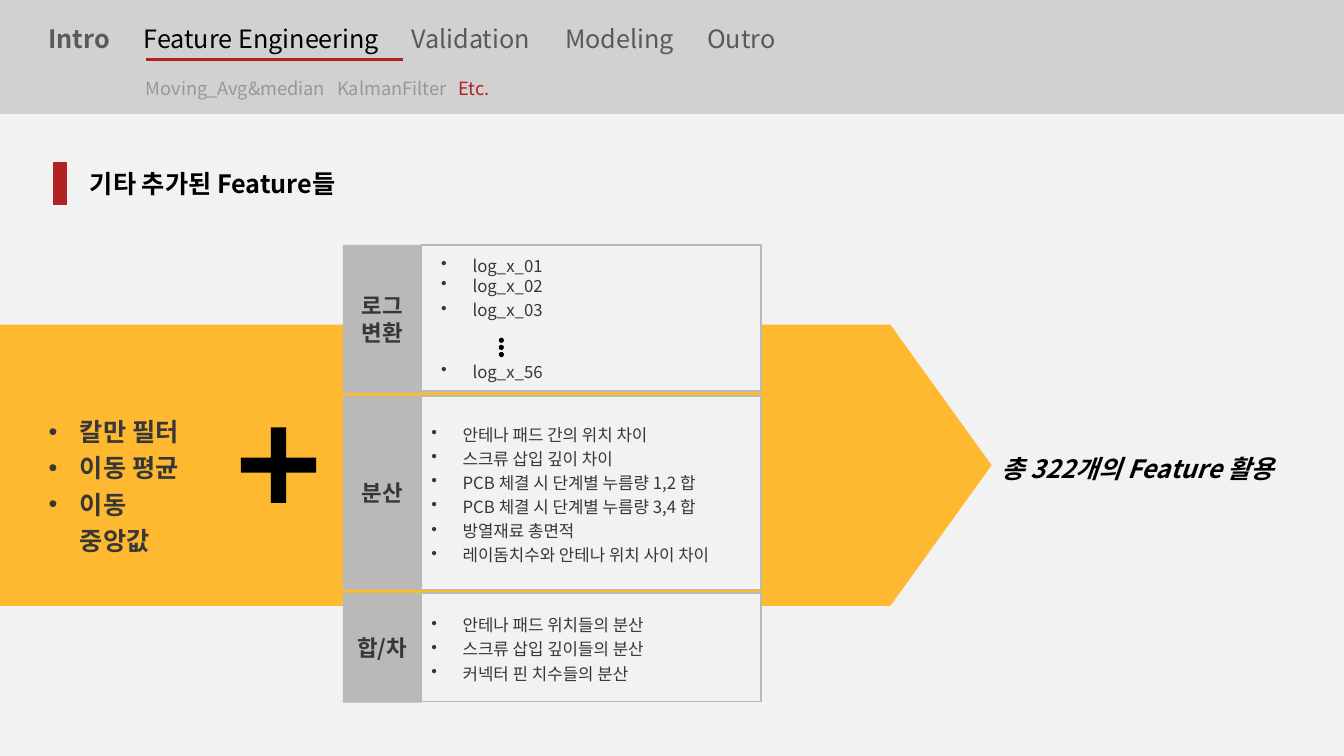
"""Build the slide that lists the additional engineered features."""
from lxml import etree
from pptx import Presentation
from pptx.dml.color import RGBColor
from pptx.enum.shapes import MSO_CONNECTOR, MSO_SHAPE
from pptx.enum.text import MSO_ANCHOR, MSO_AUTO_SIZE, PP_ALIGN
from pptx.oxml.ns import qn
from pptx.util import Cm, Pt

RECT, OVAL = MSO_SHAPE.RECTANGLE, MSO_SHAPE.OVAL
ARROW, CROSS = MSO_SHAPE.RIGHT_ARROW, MSO_SHAPE.CROSS
STRAIGHT = MSO_CONNECTOR.STRAIGHT
TOP, MIDDLE = MSO_ANCHOR.TOP, MSO_ANCHOR.MIDDLE
LEFT, CENTER = PP_ALIGN.LEFT, PP_ALIGN.CENTER
FIXED = MSO_AUTO_SIZE.NONE

FONT = "Noto Sans CJK KR"
BLACK, DARK, GRAY, PALE = "000000", "373737", "595959", "979797"
PAPER, HEADER, LABEL = "F2F2F2", "D1D1D1", "B9B9B9"
RED, YELLOW = "B22222", "FEB930"

TITLE = "기타 추가된 Feature들"
CHAPTERS = [("Intro", GRAY, True), ("Feature Engineering", BLACK, False),
            ("Validation", GRAY, False), ("Modeling", GRAY, False),
            ("Outro", GRAY, False)]
CHAPTER_TABS = [2.4, 9.15, 13.02, 16.6]
SECTIONS = [("Moving_Avg&median", PALE, False), ("KalmanFilter", PALE, False),
            ("Etc.", RED, False)]
SECTION_TABS = [4.82, 7.87]
FILTERS = ["칼만 필터", "이동 평균", "이동 중앙값"]
LOGS = [("log_x_01", 1.0), ("log_x_02", 1.0), ("log_x_03", 1.2)]
LAST_LOG = [("log_x_56", 1.0)]
GROUPS = [
    ("로그변환", 3.73, 3.68, []),
    ("분산", 4.88, 4.88, [
        "안테나 패드 간의 위치 차이", "스크류 삽입 깊이 차이",
        "PCB 체결 시 단계별 누름량 1,2 합", "PCB 체결 시 단계별 누름량 3,4 합",
        "방열재료 총면적", "레이돔치수와 안테나 위치 사이 차이"]),
    ("합/차", 2.77, 2.74, [
        "안테나 패드 위치들의 분산", "스크류 삽입 깊이들의 분산",
        "커넥터 핀 치수들의 분산"]),
]
SUMMARY = "총 322개의 Feature 활용"
GROUP_TOP, GROUP_GAP = 6.17, 0.08
LABEL_LEFT, LABEL_WIDTH, LIST_WIDTH = 8.64, 1.98, 8.56


def rgb(value):
    return RGBColor.from_string(value)


def place(box, left, top, width, height):
    box.left, box.top = Cm(left), Cm(top)
    box.width, box.height = Cm(width), Cm(height)


def add_span(para, text, size, color, bold=False, italic=False):
    span = para.add_run()
    span.text = text
    font = span.font
    font.size, font.bold, font.italic = Pt(size), bold, italic
    font.color.rgb = rgb(color)
    font.name = FONT
    etree.SubElement(font._element, qn("a:ea")).set("typeface", FONT)


def frame_of(box, anchor=TOP):
    frame = box.text_frame
    frame.word_wrap, frame.auto_size = True, FIXED
    frame.vertical_anchor = anchor
    return frame


def add_line(frame, text, size, color, bold=False, italic=False,
             spacing=1.0, align=LEFT, bullet=False):
    first = frame.paragraphs[0]
    para = frame.add_paragraph() if first.runs else first
    if bullet:
        props = para._p.get_or_add_pPr()
        props.set("marL", str(Cm(0.79)))
        props.set("indent", str(-Cm(0.79)))
        etree.SubElement(props, qn("a:buChar")).set("char", "•")
    para.alignment, para.line_spacing = align, spacing
    para.space_before = Pt(0)
    add_span(para, text, size, color, bold, italic)


def add_bullets(frame, items, size, bold=False):
    for text, spacing in items:
        add_line(frame, text, size, DARK, bold, spacing=spacing, bullet=True)


def add_text_box(page, *area, anchor=TOP):
    box = page.shapes.add_textbox(*map(Cm, area))
    return frame_of(box, anchor)


def add_block(page, kind, area, fill, line=None):
    block = page.shapes.add_shape(kind, *map(Cm, area))
    block.shadow.inherit = False
    block.fill.solid()
    block.fill.fore_color.rgb = rgb(fill)
    if line:
        block.line.color.rgb = rgb(line)
        block.line.width = Pt(1)
    else:
        block.line.fill.background()
    return block


def add_menu(frame, entries, stops, size):
    para = frame.paragraphs[0]
    tabs = etree.SubElement(para._p.get_or_add_pPr(), qn("a:tabLst"))
    for stop in stops:
        etree.SubElement(tabs, qn("a:tab"), pos=str(Cm(stop)), algn="l")
    for index, (text, color, bold) in enumerate(entries):
        add_span(para, "\t" + text if index else text, size, color, bold)


def add_header(page):
    add_block(page, RECT, (0, 0, 33.87, 2.87), HEADER)
    chapters = add_text_box(page, 0.97, 0.3, 25.86, 1.32, anchor=MIDDLE)
    add_menu(chapters, CHAPTERS, CHAPTER_TABS, 18)
    underline = page.shapes.add_connector(
        STRAIGHT, Cm(3.68), Cm(1.5), Cm(10.16), Cm(1.5))
    underline.line.color.rgb = rgb(RED)
    underline.line.width = Pt(2)
    etree.SubElement(underline._element.spPr, qn("a:effectLst"))
    sections = add_text_box(page, 3.43, 1.83, 11.13, 0.81)
    add_menu(sections, SECTIONS, SECTION_TABS, 13)


def add_groups(page):
    top = GROUP_TOP
    for name, label_height, list_height, items in GROUPS:
        label = add_block(
            page, RECT, (LABEL_LEFT, top, LABEL_WIDTH, label_height), LABEL)
        add_line(frame_of(label, MIDDLE), name, 16, DARK, True, align=CENTER)
        area = (LABEL_LEFT + LABEL_WIDTH, top, LIST_WIDTH, list_height)
        panel = add_block(page, RECT, area, PAPER, LABEL)
        add_bullets(frame_of(panel, MIDDLE), [(item, 1.2) for item in items], 12)
        top += label_height + GROUP_GAP
    add_bullets(add_text_box(page, 10.87, 6.32, 6.78, 1.85), LOGS, 12)
    for index in range(3):
        add_block(page, OVAL, (12.57, 8.51 + 0.18 * index, 0.13, 0.13), BLACK)
    add_bullets(add_text_box(page, 10.87, 8.99, 6.78, 0.76), LAST_LOG, 12)


def main():
    deck = Presentation()
    deck.slide_width, deck.slide_height = Cm(33.87), Cm(19.05)
    page = deck.slides.add_slide(deck.slide_layouts[1])
    page.background.fill.solid()
    page.background.fill.fore_color.rgb = rgb(PAPER)
    title, body = page.placeholders

    add_header(page)
    arrow = add_block(page, ARROW, (0, 8.18, 24.99, 7.09), YELLOW)
    arrow.adjustments[0], arrow.adjustments[1] = 1, 0.36

    place(title, 2.01, 4.11, 14.68, 1.02)
    add_line(frame_of(title), TITLE, 18, BLACK, True)
    add_block(page, RECT, (1.35, 4.09, 0.33, 1.07), RED, RED)

    add_groups(page)
    plus = add_block(page, CROSS, (6.07, 10.77, 1.9, 1.9), BLACK)
    plus.adjustments[0] = 0.4

    place(body, 0.97, 10.21, 4.3, 3.02)
    add_bullets(frame_of(body), [(item, 1.2) for item in FILTERS], 18, True)
    page.shapes._spTree.append(body._element)

    summary = add_text_box(page, 24.99, 11.15, 7.8, 1.09)
    add_line(summary, SUMMARY, 18, BLACK, True, True, spacing=1.2)
    deck.save("out.pptx")


if __name__ == "__main__":
    main()
